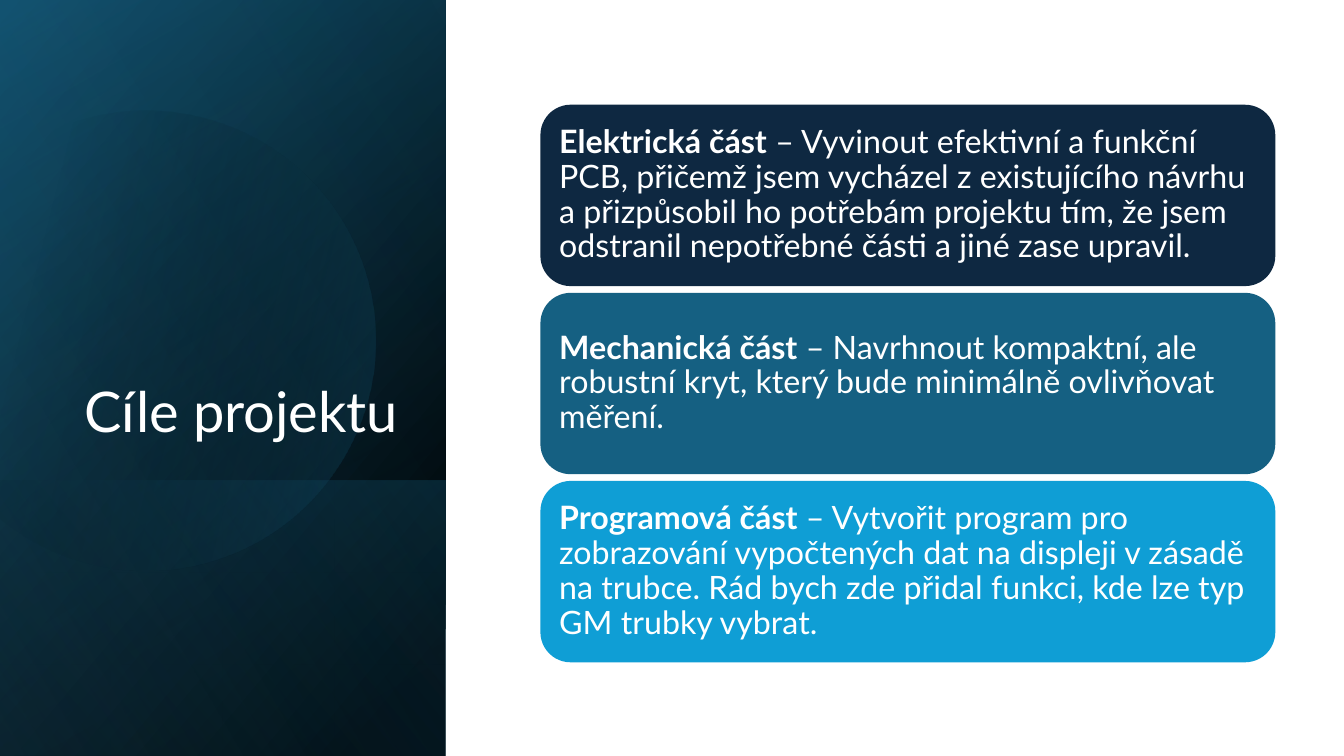
import math

import pptx
import pptx.dml.color
import pptx.enum.shapes
import pptx.enum.text
import pptx.oxml
import pptx.oxml.ns
import pptx.util

Cm = pptx.util.Cm
Shapes = pptx.enum.shapes.MSO_SHAPE
Anchor = pptx.enum.text.MSO_ANCHOR
qn = pptx.oxml.ns.qn

COLORS = {
    "white": "FFFFFF", "black": "000000", "deep": "104862", "teal": "156082",
    "sky": "46B1E1", "navy": "0E2841", "blue": "0F9ED5",
}
PANEL_WIDTH, PAGE_HEIGHT = 11.23, 19.05
CARD_TOP, CARD_HEIGHT, CARD_PITCH = 2.64, 4.57, 4.74

CARDS = [
    ("navy", "Elektrická část ",
     "– Vyvinout efektivní a funkční PCB, přičemž jsem vycházel z existujícího návrhu "
     "a přizpůsobil ho potřebám projektu tím, že jsem odstranil nepotřebné části "
     "a jiné zase upravil."),
    ("teal", "Mechanická část ",
     "– Navrhnout kompaktní, ale robustní kryt, který bude minimálně ovlivňovat měření."),
    ("blue", "Programová část ",
     "– Vytvořit program pro zobrazování vypočtených dat na displeji v zásadě na trubce. "
     "Rád bych zde přidal funkci, kde lze typ GM trubky vybrat."),
]


class SlideBuilder:
    """Holds the text style and the current page, and draws its elements."""

    def __init__(self, page, font="Lato"):
        self.page = page
        self.font = font

    def apply(self, target, **values):
        for name, value in values.items():
            setattr(target, name, value)

    def rgb(self, color):
        return pptx.dml.color.RGBColor.from_string(COLORS[color])

    def gradient(self, shape, angle, *stops):
        shape.shadow.inherit = False
        shape.line.fill.background()
        shape.fill.solid()
        marks = "".join(
            f'<a:gs pos="{place * 1000}"><a:srgbClr val="{COLORS[color]}">'
            f'<a:alpha val="{opacity * 1000}"/></a:srgbClr></a:gs>'
            for place, color, opacity in stops)
        fill = pptx.oxml.parse_xml(
            f'<a:gradFill {pptx.oxml.ns.nsdecls("a")} rotWithShape="1"><a:gsLst>{marks}</a:gsLst>'
            f'<a:lin ang="{angle * 60000}" scaled="0"/></a:gradFill>')
        properties = shape._element.spPr
        properties.replace(properties.find(qn("a:solidFill")), fill)

    def panel(self, top, height, angle, *stops):
        left = (PANEL_WIDTH - height) / 2
        box = self.page.shapes.add_shape(
            Shapes.RECTANGLE, Cm(left), Cm(top - left), Cm(height), Cm(PANEL_WIDTH))
        box.rotation = 90
        box._element.spPr.xfrm.set("flipH", "1")
        self.gradient(box, angle, *stops)

    def cut_circle(self, x, y, radius, turns, rotation, angle, *stops):
        def point(turn, pull=0):
            cos, sin = math.cos(turn), math.sin(turn)
            return (Cm(x + radius * (cos - pull * sin)), Cm(y + radius * (sin + pull * cos)))

        turns = [math.radians(turn) for turn in turns]
        points = []
        for start, end in zip(turns, turns[1:]):
            pull = 4 / 3 * math.tan((end - start) / 4)
            points += [point(start, pull), point(end, -pull), point(end)]
        builder = self.page.shapes.build_freeform(*point(turns[0]))
        builder.add_line_segments(points, close=True)
        circle = builder.convert_to_shape()
        lines = list(circle._element.iter(qn("a:lnTo")))
        for first in range(0, len(points), 3):
            curve = pptx.oxml.parse_xml(f'<a:cubicBezTo {pptx.oxml.ns.nsdecls("a")}/>')
            lines[first].addprevious(curve)
            for line in lines[first:first + 3]:
                curve.append(line[0])
                line.getparent().remove(line)
        circle.rotation = rotation
        self.gradient(circle, angle, *stops)

    def span(self, para, text, size, bold=False):
        span = para.add_run()
        span.text = text
        self.apply(span.font, name=self.font, size=pptx.util.Pt(size), bold=bold)
        span.font.color.rgb = self.rgb("white")

    def title(self, text, left, top, width, height):
        box = self.page.shapes.title
        self.page.shapes._spTree.append(box._element)
        self.apply(box, left=Cm(left), top=Cm(top), width=Cm(width), height=Cm(height))
        self.apply(box.text_frame, word_wrap=True, vertical_anchor=Anchor.BOTTOM,
                   auto_size=pptx.enum.text.MSO_AUTO_SIZE.NONE)
        para = box.text_frame.paragraphs[0]
        self.apply(para, alignment=pptx.enum.text.PP_ALIGN.RIGHT, line_spacing=0.9)
        self.span(para, text, 40)

    def card(self, top, color, heading, body):
        box = self.page.shapes.add_shape(
            Shapes.ROUNDED_RECTANGLE, Cm(13.62), Cm(top), Cm(18.52), Cm(CARD_HEIGHT))
        box.shadow.inherit = False
        box.line.fill.background()
        box.fill.solid()
        box.fill.fore_color.rgb = self.rgb(color)
        inset = Cm(0.25)
        self.apply(box.text_frame, word_wrap=True, vertical_anchor=Anchor.MIDDLE,
                   margin_left=inset, margin_right=inset,
                   margin_top=inset, margin_bottom=inset)
        para = box.text_frame.paragraphs[0]
        self.apply(para, alignment=pptx.enum.text.PP_ALIGN.LEFT, line_spacing=0.9)
        self.span(para, heading, 23, bold=True)
        self.span(para, body, 23)


def main():
    deck = pptx.Presentation()
    deck.slide_width, deck.slide_height = Cm(33.87), Cm(PAGE_HEIGHT)
    builder = SlideBuilder(deck.slides.add_slide(deck.slide_layouts[5]))

    builder.panel(0, PAGE_HEIGHT, 50, (8, "black", 100), (100, "deep", 100))
    builder.panel(0, PAGE_HEIGHT, 30, (0, "black", 0), (99, "teal", 46))
    builder.panel(12.1, 6.96, 130, (2, "teal", 29), (100, "black", 30))
    builder.cut_circle(3.65, 8.48, 5.79, (-118, -90, 0, 90, 150), 343.9, 30,
                       (29, "black", 0), (100, "teal", 43))
    builder.panel(0, PAGE_HEIGHT, 120, (0, "black", 0), (99, "sky", 11))

    builder.title("Cíle projektu", 1.63, 4.67, 8.66, 6.65)
    for index, card in enumerate(CARDS):
        builder.card(CARD_TOP + index * CARD_PITCH, *card)
    deck.save("out.pptx")


if __name__ == "__main__":
    main()
